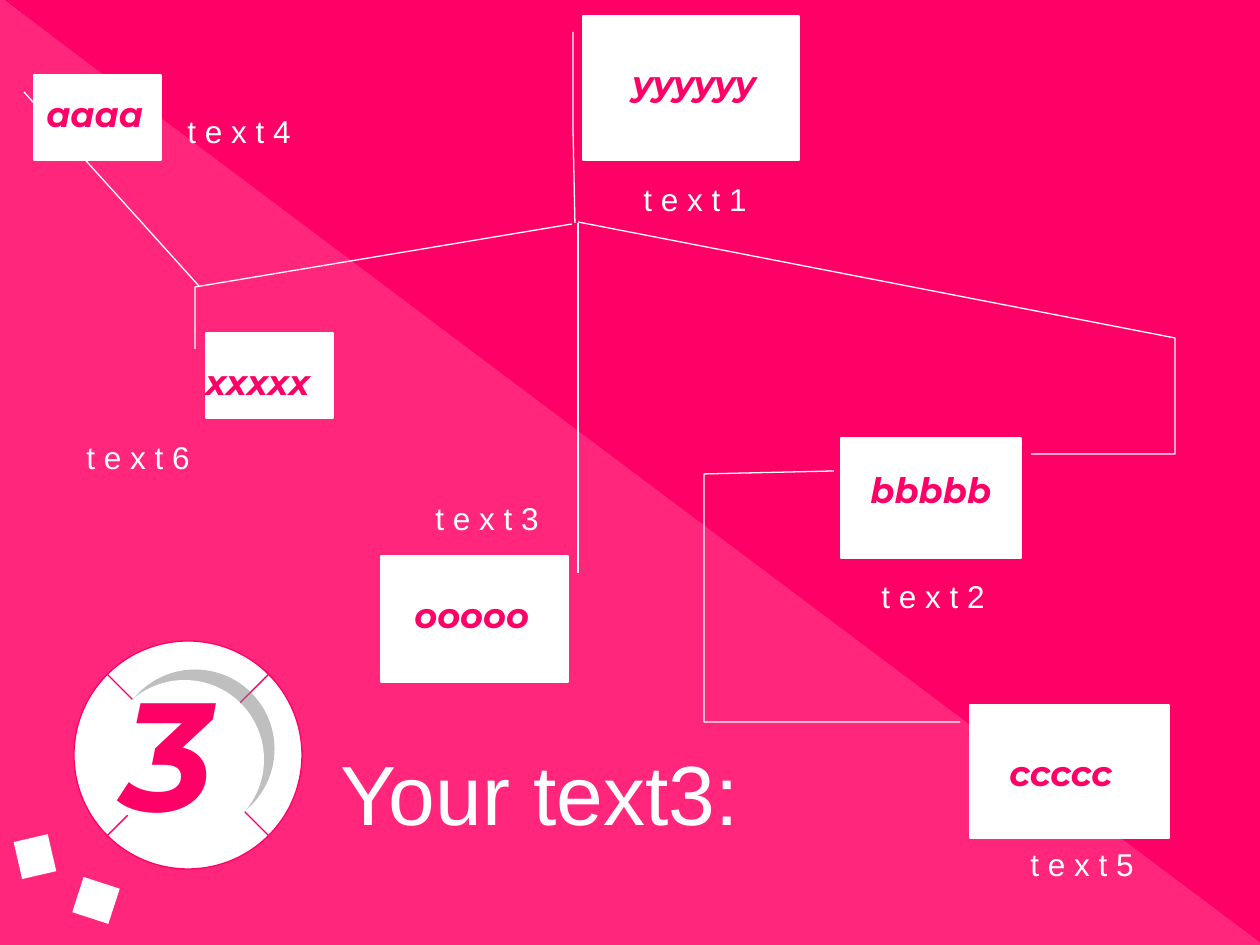
from lxml.etree import SubElement
from pptx import Presentation
from pptx.dml.color import RGBColor
from pptx.enum.shapes import MSO_CONNECTOR as Connector, MSO_SHAPE as Shape
from pptx.enum.text import MSO_AUTO_SIZE as AutoSize
from pptx.oxml.ns import qn
from pptx.util import Pt

PINK = RGBColor(0xFF, 0x00, 0x66)
WHITE = RGBColor(0xFF, 0xFF, 0xFF)
GREY = RGBColor(0x80, 0x80, 0x80)
EMU_PER_PX = 914400 / 126


def emu(px):
    """Turn a pixel length into EMU."""
    return round(px * EMU_PER_PX)


class MapSlide:
    """Holds the style and the current slide of a branching map."""

    line_width = Pt(0.75)

    def __init__(self, presentation):
        self.slide = presentation.slides.add_slide(presentation.slide_layouts[6])
        self.shapes = self.slide.shapes

    def shape(self, kind, box, fill=WHITE, line=None, rotation=0, alpha=None):
        """Add a filled preset shape."""
        shape = self.shapes.add_shape(kind, *map(emu, box))
        shape.shadow.inherit = False
        shape.rotation = rotation
        shape.fill.solid()
        shape.fill.fore_color.rgb = fill
        if alpha is not None:
            color = shape._element.spPr.find(qn("a:solidFill"))[0]
            SubElement(color, qn("a:alpha"), val=str(alpha * 1000))
        if line is None:
            shape.line.fill.background()
        else:
            self.stroke(shape, line)
        return shape

    def stroke(self, shape, color=WHITE):
        """Give a shape or connector the thin line."""
        shape.line.color.rgb = color
        shape.line.width = self.line_width

    def shadow(self, shape, color, alpha, distance, degrees):
        """Give a shape a hard offset shadow."""
        effects = shape._element.spPr.find(qn("a:effectLst"))
        outer = SubElement(effects, qn("a:outerShdw"), blurRad="0", dist=str(Pt(distance)),
                           dir=str(degrees * 60000), algn="ctr", rotWithShape="0")
        tint = SubElement(outer, qn("a:srgbClr"), val=str(color))
        SubElement(tint, qn("a:alpha"), val=str(alpha * 1000))

    def branch(self, points):
        """Draw a straight or bent branch through the points."""
        points = [(emu(x), emu(y)) for x, y in points]
        if len(points) == 2:
            branch = self.shapes.add_connector(Connector.STRAIGHT, *points[0], *points[1])
            SubElement(branch._element.spPr, qn("a:effectLst"))
        else:
            builder = self.shapes.build_freeform(*points[0])
            builder.add_line_segments(points[1:], close=False)
            branch = builder.convert_to_shape()
            branch.shadow.inherit = False
            branch.fill.background()
        self.stroke(branch)

    def text(self, text, box, size, font="Arial", color=WHITE, strong=False):
        """Add a one-line text box."""
        frame = self.shapes.add_textbox(*map(emu, box)).text_frame
        frame.word_wrap = True
        frame.auto_size = AutoSize.SHAPE_TO_FIT_TEXT
        frame.text = text
        run_font = frame.paragraphs[0].runs[0].font
        run_font.name = font
        run_font.size = Pt(size)
        run_font.color.rgb = color
        run_font.bold = run_font.italic = strong

    def accent(self, text, box, size):
        """Add pink bold italic text."""
        self.text(text, box, size, "Montserrat", PINK, True)

    def node(self, name, box, name_at, branch):
        """Add a named white box with its branch."""
        self.branch(branch)
        self.shape(Shape.RECTANGLE, box, line=WHITE)
        self.accent(name, (*name_at, 179, 55), 20)


NODES = [
    ("bbbbb", (841, 438, 180, 120), (858, 462),
     [(1031, 454), (1175, 454), (1175, 338), (578, 222)]),
    ("xxxxx", (206, 333, 127, 85), (193, 354), [(195, 349), (195, 287), (572, 224)]),
    ("ooooo", (381, 556, 187, 126), (402, 587), [(578, 573), (578, 223)]),
    ("aaaa", (34, 75, 127, 85), (34, 86), [(24, 92), (199, 286)]),
    ("ccccc", (970, 705, 199, 133), (997, 745),
     [(960, 722), (704, 722), (704, 474), (834, 471)]),
    ("yyyyyy", (583, 16, 216, 144), (620, 55), [(573, 32), (573, 127), (575, 223)]),
]
CAPTIONS_AT = [(631, 174), (869, 571), (423, 493), (175, 106), (1018, 839), (74, 432)]


def main():
    """Build and save the slide."""
    presentation = Presentation()
    presentation.slide_width, presentation.slide_height = emu(1260), emu(945)
    page = MapSlide(presentation)

    page.shape(Shape.RIGHT_TRIANGLE, (0, -3, 1275, 949), PINK, alpha=85)
    page.shape(Shape.RIGHT_TRIANGLE, (0, -3, 1265, 949), PINK, rotation=180)
    page.shape(Shape.FLOWCHART_SUMMING_JUNCTION, (74, 641, 228, 228), line=PINK)
    page.text("Your text3:", (328, 735, 679, 113), 48)
    page.shape(Shape.RECTANGLE, (16, 839, 38, 35), rotation=257)
    page.shape(Shape.RECTANGLE, (77, 882, 38, 37), rotation=18)
    disc = page.shape(Shape.OVAL, (105, 680, 159, 159))
    page.shadow(disc, GREY, 50, 8.5, 315)
    page.accent("3", (110, 651, 95, 198), 88)

    for node in NODES:
        page.node(*node)
    for number, position in enumerate(CAPTIONS_AT, 1):
        page.text(f"t e x t {number}", (*position, 168, 50), 18)

    presentation.save("out.pptx")


if __name__ == "__main__":
    main()
